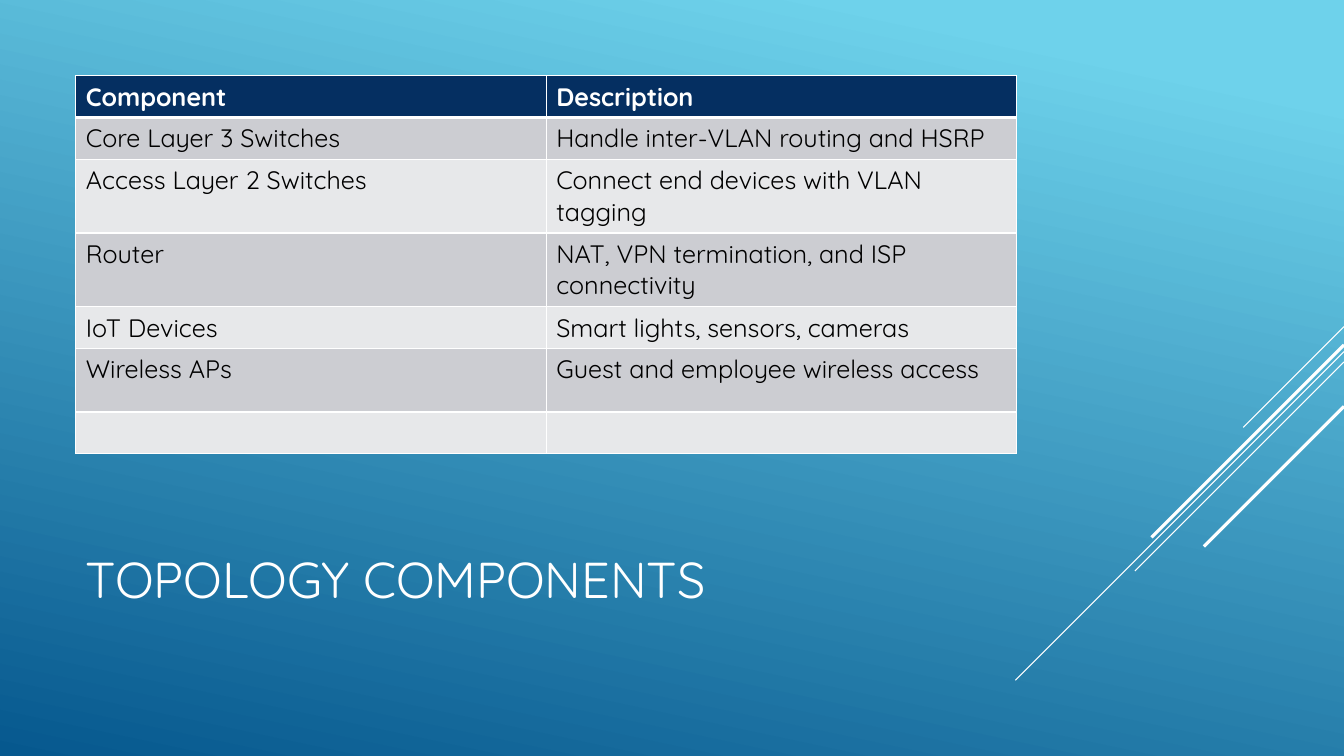
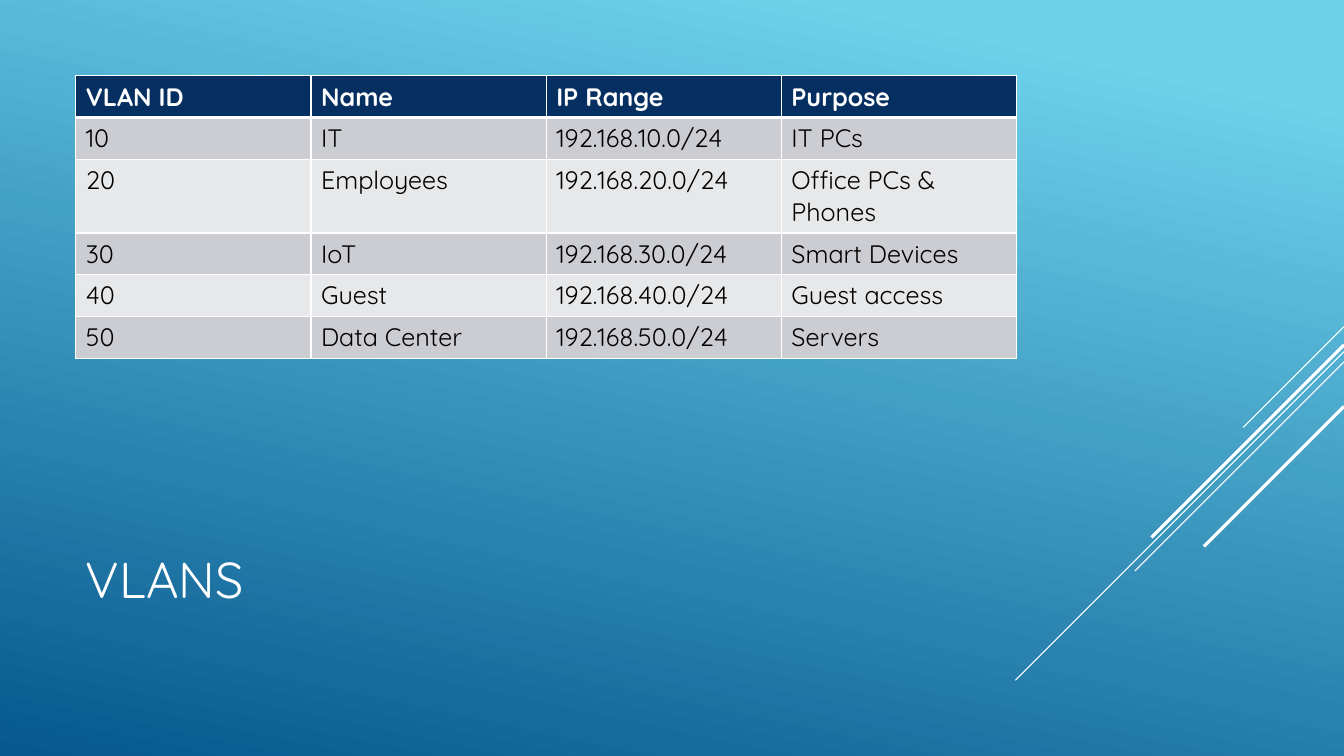
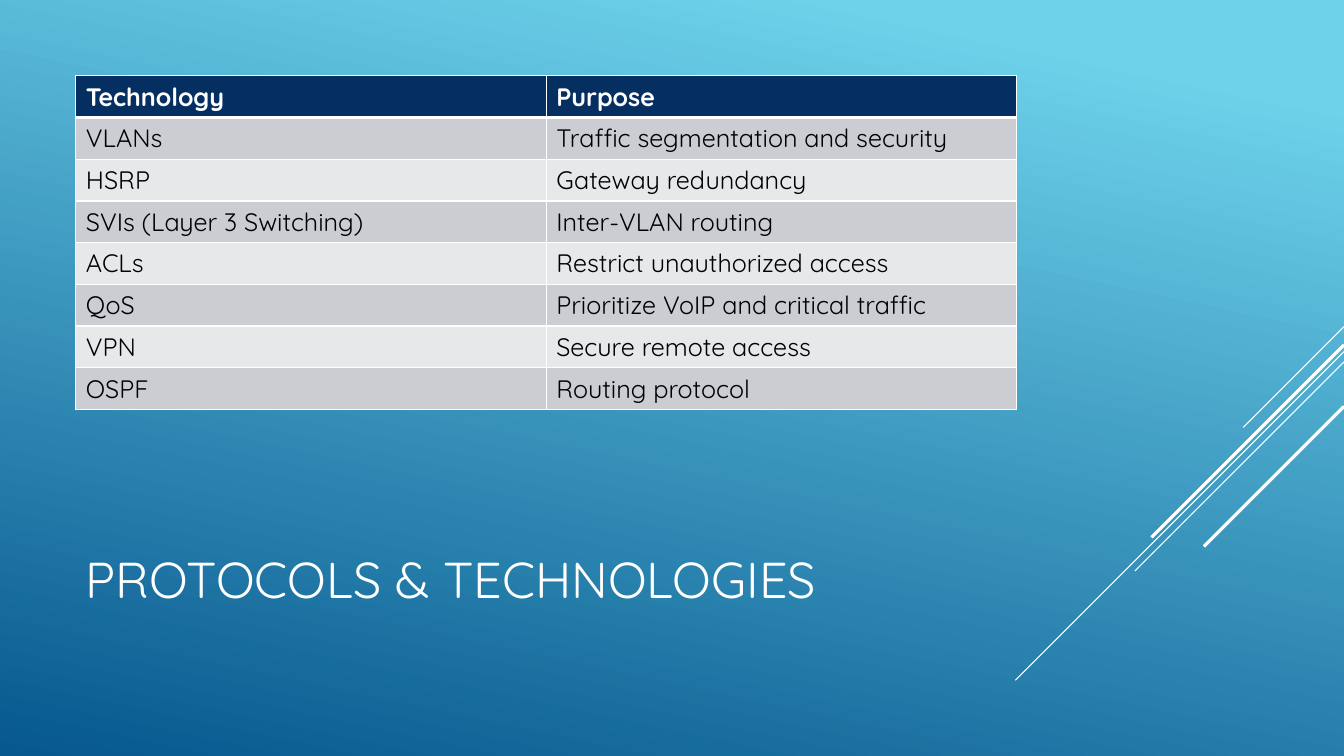
from lxml.etree import SubElement
from pptx import Presentation
from pptx.dml.color import RGBColor
from pptx.enum.text import MSO_ANCHOR, PP_ALIGN
from pptx.enum.shapes import MSO_CONNECTOR
from pptx.oxml.ns import qn
from pptx.util import Cm, Pt

WHITE, BLACK, NAVY = "FFFFFF", "000000", "052F61"
BANDS = ["E7E8EA", "CCCDD2"]
SKY, DEEP_BLUE = "6ED2EB", "06588E"
FONT = "Quicksand"
SLIDE_WIDTH, MARGIN, CONTENT_WIDTH = 33.87, 1.91, 23.71
ROW_HEIGHT, TWO_LINES = 1.05, 1.86

TITLE_BOX = {"left": Cm(MARGIN), "top": Cm(12.47), "width": Cm(CONTENT_WIDTH), "height": Cm(4.19)}
TITLE_FONT = {"name": FONT, "size": Pt(36), "bold": False}
HEADER_FONT = {"name": FONT, "size": Pt(18), "bold": True}
BODY_FONT = {"name": FONT, "size": Pt(18), "bold": False}

DIAGONALS = [
    (8.23, 2.54, 0.75),
    (8.86, 8.28, 0.75),
    (9.12, 5.27, 0.75),
    (8.69, 4.85, 2.25),
    (10.24, 3.53, 2.25),
]

TOPICS = [
    ("TOPOLOGY COMPONENTS", {2: TWO_LINES, 3: TWO_LINES, 5: 1.6}, [
        ("Component", "Description"),
        ("Core Layer 3 Switches", "Handle inter-VLAN routing and HSRP"),
        ("Access Layer 2 Switches", "Connect end devices with VLAN tagging"),
        ("Router", "NAT, VPN termination, and ISP connectivity"),
        ("IoT Devices", "Smart lights, sensors, cameras"),
        ("Wireless APs", "Guest and employee wireless access"),
        ("", ""),
    ]),
    ("VLANS", {2: TWO_LINES}, [
        ("VLAN ID", "Name", "IP Range", "Purpose"),
        ("10", "IT", "192.168.10.0/24", "IT PCs"),
        ("20", "Employees", "192.168.20.0/24", "Office PCs & Phones"),
        ("30", "IoT", "192.168.30.0/24", "Smart Devices"),
        ("40", "Guest", "192.168.40.0/24", "Guest access"),
        ("50", "Data Center", "192.168.50.0/24", "Servers"),
    ]),
    ("PROTOCOLS & TECHNOLOGIES", {}, [
        ("Technology", "Purpose"),
        ("VLANs", "Traffic segmentation and security"),
        ("HSRP", "Gateway redundancy"),
        ("SVIs (Layer 3 Switching)", "Inter-VLAN routing"),
        ("ACLs", "Restrict unauthorized access"),
        ("QoS", "Prioritize VoIP and critical traffic"),
        ("VPN", "Secure remote access"),
        ("OSPF", "Routing protocol"),
    ]),
]


def rgb(value):
    return RGBColor.from_string(value)


def write(paragraph, text, font_format, color):
    run = paragraph.add_run()
    run.text = text
    for attribute, value in font_format.items():
        setattr(run.font, attribute, value)
    run.font.color.rgb = rgb(color)


prs = Presentation()
prs.slide_width, prs.slide_height = Cm(SLIDE_WIDTH), Cm(19.05)

backdrop = prs.slide_master.background.fill
backdrop.gradient()
backdrop.gradient_angle = 258
for stop, (position, color) in zip(backdrop.gradient_stops, [(0.1, SKY), (1, DEEP_BLUE)]):
    stop.position = position
    stop.color.rgb = rgb(color)

for heading, tall_rows, rows in TOPICS:
    slide = prs.slides.add_slide(prs.slide_layouts[5])

    for top, reach, weight in DIAGONALS:
        diagonal = slide.shapes.add_connector(
            MSO_CONNECTOR.STRAIGHT, Cm(SLIDE_WIDTH), Cm(top), Cm(SLIDE_WIDTH - reach), Cm(top + reach))
        diagonal.line.color.rgb = rgb(WHITE)
        diagonal.line.width = Pt(weight)
        SubElement(diagonal._element.spPr, qn("a:effectLst"))

    title = slide.shapes.title
    for attribute, value in TITLE_BOX.items():
        setattr(title, attribute, value)
    title.text_frame.vertical_anchor = MSO_ANCHOR.MIDDLE
    title_line = title.text_frame.paragraphs[0]
    title_line.alignment = PP_ALIGN.LEFT
    write(title_line, heading, TITLE_FONT, WHITE)

    heights = [tall_rows.get(index, ROW_HEIGHT) for index in range(len(rows))]
    grid = slide.shapes.add_table(
        len(rows), len(rows[0]), Cm(MARGIN), Cm(MARGIN), Cm(CONTENT_WIDTH), Cm(sum(heights))).table
    for row_index, texts in enumerate(rows):
        grid.rows[row_index].height = Cm(heights[row_index])
        is_header = row_index == 0
        borders = {"L": 1, "R": 1, "T": 3 if row_index == 1 else 1, "B": 3 if is_header else 1}
        for column_index, text in enumerate(texts):
            cell = grid.cell(row_index, column_index)
            for side, weight in borders.items():
                border = SubElement(cell._tc.get_or_add_tcPr(), qn(f"a:ln{side}"), w=str(Pt(weight)))
                SubElement(SubElement(border, qn("a:solidFill")), qn("a:srgbClr"), val=WHITE)
            cell.fill.solid()
            cell.fill.fore_color.rgb = rgb(NAVY if is_header else BANDS[row_index % 2])
            if text:
                write(cell.text_frame.paragraphs[0], text,
                      HEADER_FONT if is_header else BODY_FONT, WHITE if is_header else BLACK)

prs.save("out.pptx")
